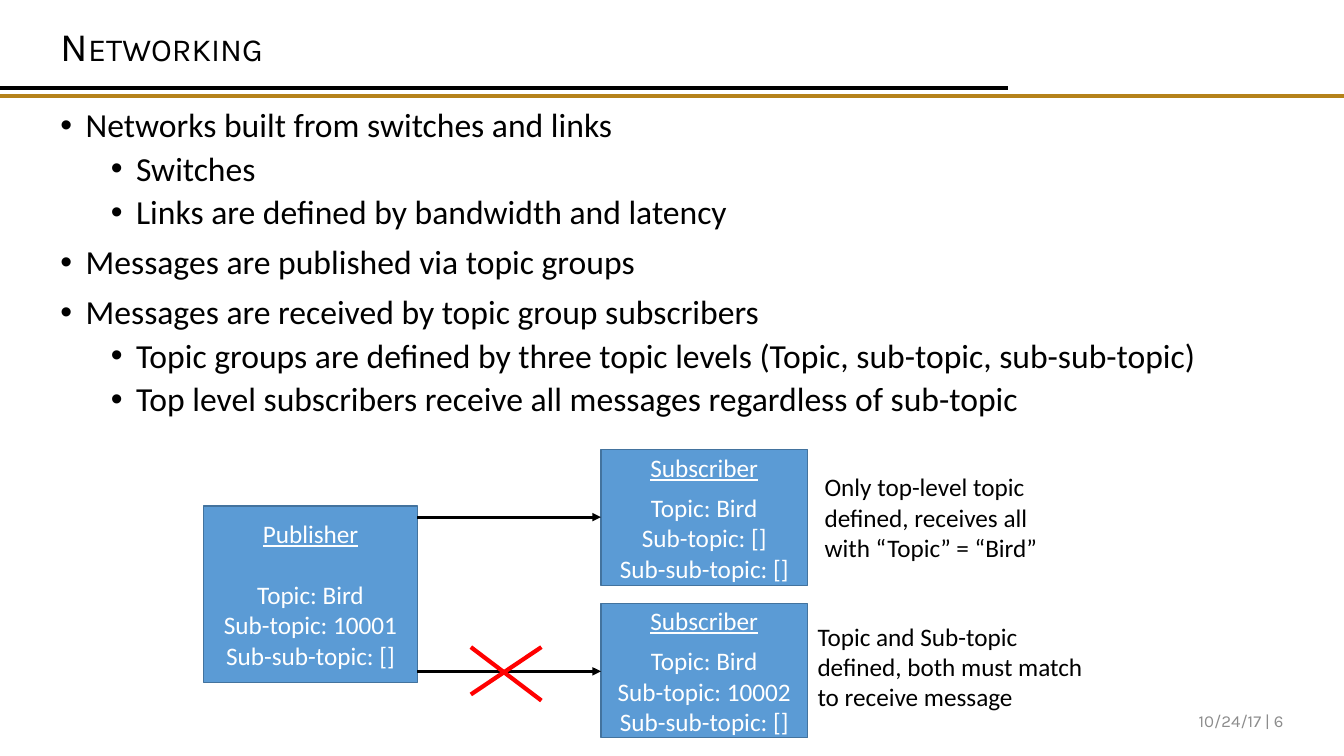
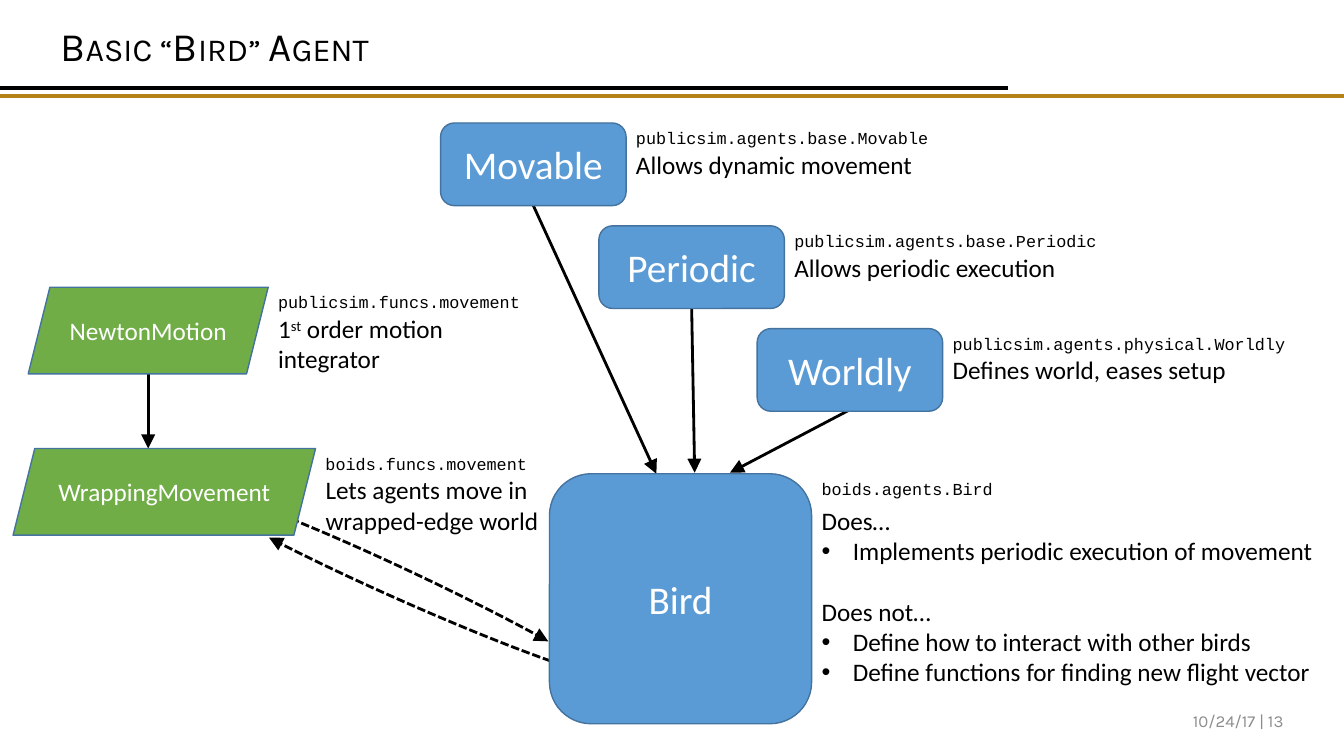
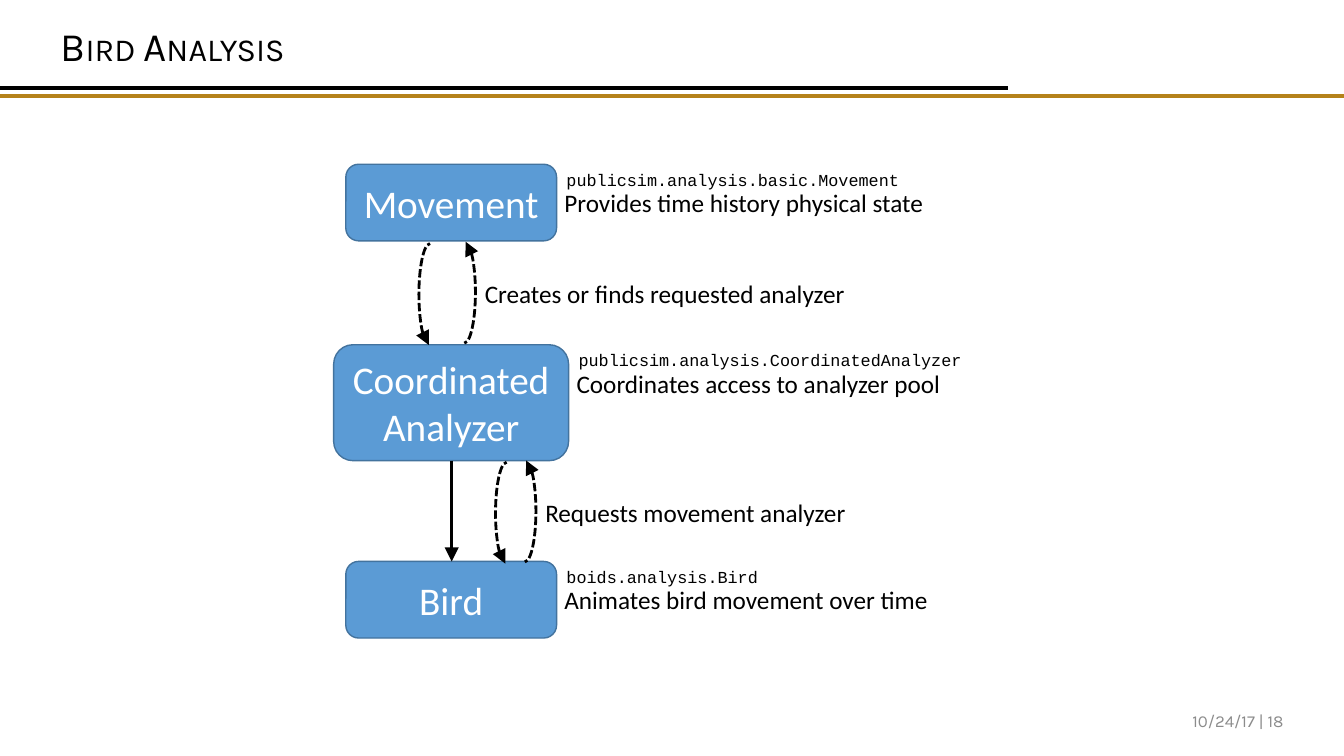
import pptx
import pptx.dml.color
import pptx.enum.dml
import pptx.enum.shapes
import pptx.enum.text
import pptx.oxml.ns
import pptx.util
from lxml import etree

Inches = pptx.util.Inches
Pt = pptx.util.Pt
RGBColor = pptx.dml.color.RGBColor
Shape = pptx.enum.shapes.MSO_SHAPE
Align = pptx.enum.text.PP_ALIGN
Anchor = pptx.enum.text.MSO_ANCHOR
qn = pptx.oxml.ns.qn

BLACK = RGBColor(0x00, 0x00, 0x00)
WHITE = RGBColor(0xFF, 0xFF, 0xFF)
GOLD = RGBColor(0xB5, 0x82, 0x1A)
BLUE = RGBColor(0x5B, 0x9B, 0xD5)
GREEN = RGBColor(0x70, 0xAD, 0x47)
EDGE = RGBColor(0x43, 0x73, 0x9E)
GREY = RGBColor(0x8C, 0x8C, 0x8C)
RED = RGBColor(0xFF, 0x00, 0x00)

# Text looks, as format values
PLAIN = {"name": "Calibri", "size": Pt(18), "color": BLACK}
TITLE = {"name": "Karla", "size": Pt(28.8), "alignment": Align.LEFT,
         "line_spacing": 0.9, "caps": "small"}
FOOTER = {"name": "Karla", "size": Pt(12), "color": GREY, "alignment": Align.RIGHT}
CODE = {"name": "Courier New", "size": Pt(12)}
LABEL = {"color": WHITE, "alignment": Align.CENTER}
BIG_LABEL = {**LABEL, "size": Pt(28)}
TOP = {"size": Pt(24), "line_spacing": 0.9, "space_before": Pt(10),
       "indent": (0.25, 0.25)}
SUB = {**TOP, "level": 1, "space_before": Pt(5), "indent": (0.75, 0.25)}
POINT = {"indent": (0.31, 0.31)}
LINE_GAP = Pt(22)
SMALL_GAP = Pt(7.3)

PARA_KEYS = ("alignment", "level", "line_spacing", "space_before")
FONT_KEYS = ("name", "size", "underline")


class Builder:
    """Holds the deck, its style and the current slide."""

    def __init__(self):
        self.deck = pptx.Presentation()
        self.deck.slide_width = Inches(13.33)
        self.deck.slide_height = Inches(7.5)
        self.slide = None

    def start(self, title, number, layout=5):
        """New slide with the shared title, bands and footer."""
        self.slide = self.deck.slides.add_slide(self.deck.slide_layouts[layout])
        self.line((0, 0.87), (10, 0.87), BLACK, 3)
        self.line((0, 0.95), (13.33, 0.95), GOLD, 3)
        self.placeholder(0, (0.5, 0.21, 12.33, 0.55), [(title, TITLE)], Anchor.MIDDLE)
        self.text((9.83, 6.95, 3, 0.4), [(f"10/24/17 | {number}", FOOTER)], Anchor.MIDDLE)

    def set_lines(self, frame, lines, anchor, look=None):
        """Fill a frame; a line is text or (text, look), with ^...^ raised."""
        frame.word_wrap = True
        frame.auto_size = pptx.enum.text.MSO_AUTO_SIZE.NONE
        frame.vertical_anchor = anchor
        for index, line in enumerate(lines):
            words, extra = line if isinstance(line, tuple) else (line, {})
            style = {**PLAIN, **(look or {}), **extra}
            para = frame.add_paragraph() if index else frame.paragraphs[0]
            for key in PARA_KEYS:
                if key in style:
                    setattr(para, key, style[key])
            if "indent" in style:
                self.bullet(para, *style["indent"])
            for part, piece in enumerate(words.split("^")):
                span = para.add_run()
                span.text = piece
                for key in FONT_KEYS:
                    if key in style:
                        setattr(span.font, key, style[key])
                span.font.color.rgb = style["color"]
                if "caps" in style:
                    span.font._element.set("cap", style["caps"])
                if part % 2:
                    span.font._element.set("baseline", "30000")

    def bullet(self, para, left, hang):
        props = para._p.get_or_add_pPr()
        props.set("marL", str(Inches(left)))
        props.set("indent", str(-Inches(hang)))
        etree.SubElement(props, qn("a:buFont")).set("typeface", "Arial")
        etree.SubElement(props, qn("a:buChar")).set("char", "•")

    def placeholder(self, index, at, lines, anchor=Anchor.TOP):
        box = self.slide.placeholders[index]
        for key, value in zip(("left", "top", "width", "height"), at):
            setattr(box, key, Inches(value))
        self.set_lines(box.text_frame, lines, anchor)

    def text(self, at, lines, anchor=Anchor.TOP):
        box = self.slide.shapes.add_textbox(*map(Inches, at))
        self.set_lines(box.text_frame, lines, anchor)

    def shape(self, kind, at, lines, look=LABEL, fill=BLUE):
        box = self.slide.shapes.add_shape(kind, *map(Inches, at))
        box.shadow.inherit = False
        box.fill.solid()
        box.fill.fore_color.rgb = fill
        box.line.color.rgb = EDGE
        box.line.width = Pt(1)
        self.set_lines(box.text_frame, lines, Anchor.MIDDLE, look)

    def node(self, kind, at, name, module, note, shift=(0, 0.21), note_size=(3.56, 0.4),
             look=BIG_LABEL, fill=BLUE):
        """Named shape with its module path and a note on the right."""
        left, top, width, height = at
        right = left + width
        self.shape(kind, at, [name], look, fill)
        self.text((right + shift[0], top + shift[1], *note_size),
                  note if isinstance(note, list) else [note])
        self.text((right, top, 4.1 if len(module) > 34 else 3.56, 0.3), [(module, CODE)])

    def arrowhead(self, item, end, size):
        head = etree.SubElement(item._element.spPr.find(qn("a:ln")), qn("a:" + end))
        for key, value in {"type": "triangle", "w": size, "len": size}.items():
            head.set(key, value)

    def line(self, start, end, color=BLACK, width=2, head=None):
        link = self.slide.shapes.add_connector(
            pptx.enum.shapes.MSO_CONNECTOR.STRAIGHT, *map(Inches, (*start, *end)))
        link.line.color.rgb = color
        link.line.width = Pt(width)
        if head:
            self.arrowhead(link, "tailEnd", head)
        etree.SubElement(link._element.spPr, qn("a:effectLst"))

    def arc(self, at, rotation, angles, end):
        """Dashed curved arrow."""
        curve = self.slide.shapes.add_shape(Shape.ARC, *map(Inches, at))
        curve.shadow.inherit = False
        curve.rotation = rotation
        for index, angle in enumerate(angles):
            curve.adjustments[index] = angle
        curve.fill.background()
        curve.line.color.rgb = BLACK
        curve.line.width = Pt(2)
        curve.line.dash_style = pptx.enum.dml.MSO_LINE.SQUARE_DOT
        self.arrowhead(curve, end, "lg")


def networking(page):
    page.start("Networking", 6, layout=1)
    page.placeholder(1, (0.5, 1.03, 12.33, 3.24), [
        ("Networks built from switches and links", TOP),
        ("Switches", SUB),
        ("Links are defined by bandwidth and latency", SUB),
        ("Messages are published via topic groups", TOP),
        ("Messages are received by topic group subscribers", TOP),
        ("Topic groups are defined by three topic levels (Topic, sub-topic, sub-sub-topic)", SUB),
        ("Top level subscribers receive all messages regardless of sub-topic", SUB),
    ])
    # Publisher and subscribers
    for role, at, topic, gap in (
            ("Subscriber", (5.96, 4.46, 2.05, 1.35), "[]", SMALL_GAP),
            ("Publisher", (2.02, 5.02, 2.12, 1.75), "10001", LINE_GAP),
            ("Subscriber", (5.96, 5.99, 2.05, 1.33), "10002", SMALL_GAP)):
        page.shape(Shape.RECTANGLE, at, [
            (role, {"underline": True}), ("Topic: Bird", {"space_before": gap}),
            f"Sub-topic: {topic}", "Sub-sub-topic: []"])
    # Delivered and refused messages
    for top in (5.13, 6.66):
        page.line((4.14, top), (5.96, top), head="med")
    page.line((4.67, 6.42), (5.37, 6.95), RED, 3)
    page.line((4.67, 6.89), (5.37, 6.42), RED, 3)
    page.text((8.08, 4.63, 2.71, 1.01),
              ["Only top-level topic defined, receives all with “Topic” = “Bird”"])
    page.text((8.01, 6.11, 2.91, 1.01),
              ["Topic and Sub-topic defined, both must match to receive message"])


def bird_agent(page):
    page.start("Basic “Bird” Agent", 13)
    # Calls between the agent and its movement, partly behind the shapes
    for rotation in (113.8, 295.3):
        page.arc((3.91, 3.71, 0.3, 4.24), rotation, (162, 51.49), "tailEnd")
    # Inheritance arrows
    for start, end in (((5.29, 2.04), (6.51, 4.7)), ((8.42, 4.07), (7.24, 4.69)),
                       ((6.86, 3.05), (6.89, 4.69)), ((1.47, 3.7), (1.47, 4.45))):
        page.line(start, end, head="lg")
    # Base classes, stepping down to the right
    for step, (name, module, note) in enumerate((
            ("Movable", "base.Movable", "Allows dynamic movement"),
            ("Periodic", "base.Periodic", "Allows periodic execution"),
            ("Worldly", "physical.Worldly", "Defines world, eases setup"))):
        page.node(Shape.ROUNDED_RECTANGLE,
                  (4.37 + 1.57 * step, 1.22 + 1.02 * step, 1.84, 0.82),
                  name, "publicsim.agents." + module, note)
    page.node(Shape.ROUNDED_RECTANGLE, (5.45, 4.7, 2.6, 2.48), "Bird", "boids.agents.Bird", [
        "Does…",
        ("Implements periodic execution of movement", POINT),
        ("Does not…", {"space_before": LINE_GAP}),
        ("Define how to interact with other birds", POINT),
        ("Define functions for finding new flight vector", POINT),
    ], shift=(0, 0.26), note_size=(5.25, 1.92))
    # Movement functions
    for at, name, module, note in (
            ((0.13, 4.45, 3, 0.86), "WrappingMovement", "boids.funcs.movement",
             "Lets agents move in wrapped-edge world"),
            ((0.28, 2.85, 2.38, 0.86), "NewtonMotion", "publicsim.funcs.movement",
             "1^st^ order motion integrator")):
        page.node(Shape.PARALLELOGRAM, at, name, module, note,
                  note_size=(2.45, 0.71), look=LABEL, fill=GREEN)


def bird_analysis(page):
    page.start("Bird Analysis", 18)
    for at, name, module, note in (
            ((3.43, 1.63, 2.09, 0.76), "Movement", "publicsim.analysis.basic.Movement",
             "Provides time history physical state"),
            ((3.43, 5.57, 2.09, 0.76), "Bird", "boids.analysis.Bird",
             "Animates bird movement over time"),
            ((3.31, 3.42, 2.33, 1.15), "Coordinated Analyzer",
             "publicsim.analysis.CoordinatedAnalyzer",
             "Coordinates access to analyzer pool")):
        page.node(Shape.ROUNDED_RECTANGLE, at, name, module, note,
                  shift=(-0.02, 0.18), note_size=(4.13, 0.4))
    # Inheritance, then requests and replies
    page.line((4.48, 4.57), (4.48, 5.57), head="lg")
    for left, top, rotation in ((4.7, 4.96, 90), (4.52, 4.98, 270),
                                (4.1, 2.79, 90), (3.76, 2.81, 270)):
        page.arc((left, top, 1.01, 0.22), rotation, (108.83, 0), "headEnd")
    page.text((5.31, 4.88, 4.33, 0.41), ["Requests movement analyzer"])
    page.text((4.71, 2.71, 4.33, 0.41), ["Creates or finds requested analyzer"])


def main():
    page = Builder()
    for build in (networking, bird_agent, bird_analysis):
        build(page)
    page.deck.save("out.pptx")


if __name__ == "__main__":
    main()
